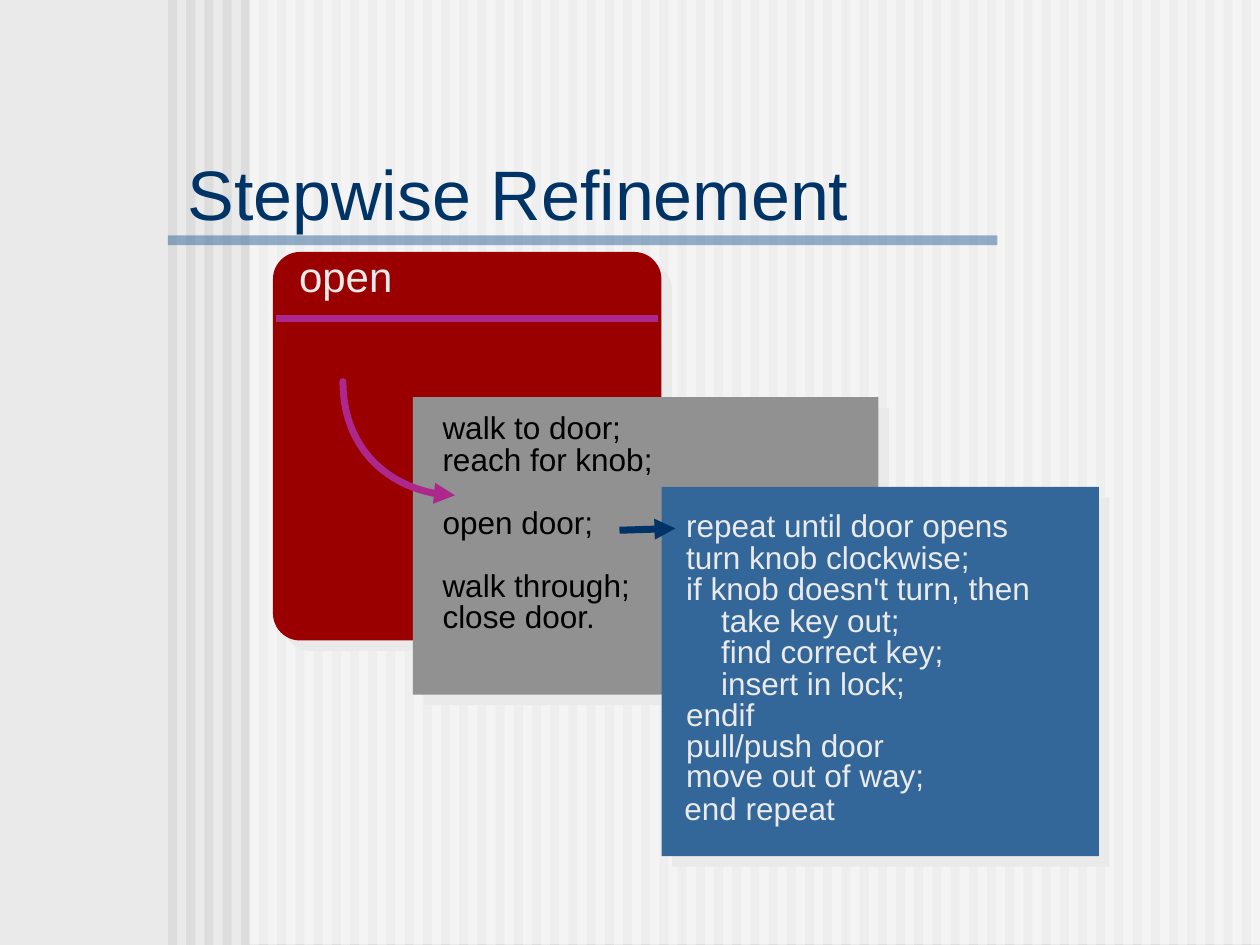
from dataclasses import dataclass

from lxml import etree
from pptx import Presentation
from pptx import util as u
from pptx.dml.color import RGBColor
from pptx.enum import shapes, text
from pptx.oxml import ns

Pt = u.Pt


@dataclass(frozen=True)
class Theme:
    font: str = "Arial"
    paper: str = "EAEAEA"
    stripe: str = "DDDDDD"
    veil: str = "FFFFFF"
    navy: str = "003366"
    blue: str = "336699"
    red: str = "9A0000"
    grey: str = "919191"
    purple: str = "AD278D"
    black: str = "000000"
    title: int = 40
    heading: int = 24
    body: int = 18
    line: int = 4


def sub(parent, tag, **attrs):
    return etree.SubElement(parent, ns.qn(tag), {k: str(v) for k, v in attrs.items()})


def write(p, content, font, size, color, spacing=None, indent=0):
    p.line_spacing = spacing
    if indent:
        pPr = p._p.get_or_add_pPr()
        pPr.set("marL", str(Pt(indent)))
        pPr.set("indent", "0")
    r = p.add_run()
    r.text = content
    r.font.name, r.font.size = font, Pt(size)
    r.font.color.rgb = RGBColor.from_string(color)


class Deck:
    def __init__(self, theme, width, height):
        self.theme = theme
        self.prs = Presentation()
        self.prs.slide_width, self.prs.slide_height = Pt(width), Pt(height)
        self.s = self.prs.slides.add_slide(self.prs.slide_layouts[6])
        fill = self.s.background.fill
        fill.solid()
        fill.fore_color.rgb = RGBColor.from_string(theme.paper)

    def box(self, x, y, w, h, color, alpha=None, radius=None, shadow=False):
        kind = shapes.MSO_SHAPE.RECTANGLE if radius is None else shapes.MSO_SHAPE.ROUNDED_RECTANGLE
        sp = self.s.shapes.add_shape(kind, Pt(x), Pt(y), Pt(w), Pt(h))
        if radius is not None:
            sp.adjustments[0] = radius
        sp.fill.solid()
        sp.fill.fore_color.rgb = RGBColor.from_string(color)
        sp.line.fill.background()
        sp.shadow.inherit = False
        spPr = sp._element.spPr
        if alpha is not None:
            sub(spPr.find(ns.qn("a:solidFill"))[0], "a:alpha", val=alpha * 1000)
        if shadow:
            drop = sub(spPr.find(ns.qn("a:effectLst")), "a:outerShdw", blurRad=0,
                       dist=Pt(8.5), dir=45 * 60000, algn="tl", rotWithShape=0)
            sub(drop, "a:srgbClr", val=self.theme.paper)

    def label(self, x, y, w, h, lines, size, color, inset=(7.2, 3.6), bottom=False, **fmt):
        tf = self.s.shapes.add_textbox(Pt(x), Pt(y), Pt(w), Pt(h)).text_frame
        tf.word_wrap = True
        tf.margin_left = tf.margin_right = Pt(inset[0])
        tf.margin_top = tf.margin_bottom = Pt(inset[1])
        tf.vertical_anchor = text.MSO_ANCHOR.BOTTOM if bottom else text.MSO_ANCHOR.TOP
        for i, content in enumerate(lines):
            p = tf.add_paragraph() if i else tf.paragraphs[0]
            write(p, content, self.theme.font, size, color, **fmt)

    def steps(self, x, y, width, rows, color):
        for row, indent, content in rows:
            self.label(x, y + 18 * row, width, 28.8, [content], self.theme.body, color, indent=indent)

    def stroke(self, sp, color, arrow):
        sp.line.color.rgb = RGBColor.from_string(color)
        sp.line.width = Pt(self.theme.line)
        ln = sp._element.spPr.find(ns.qn("a:ln"))
        if arrow:
            sub(ln, "a:tailEnd", type="triangle")
        return ln

    def line(self, x1, y1, x2, y2, color, arrow=False):
        sp = self.s.shapes.add_connector(shapes.MSO_CONNECTOR.STRAIGHT, Pt(x1), Pt(y1), Pt(x2), Pt(y2))
        self.stroke(sp, color, arrow)
        sub(sp._element.spPr, "a:effectLst")

    def curve(self, start, controls, end, color):
        fb = self.s.shapes.build_freeform(Pt(start[0]), Pt(start[1]))
        fb.add_line_segments([(Pt(end[0]), Pt(end[1]))], close=False)
        sp = fb.convert_to_shape()
        sp.fill.background()
        sp.shadow.inherit = False
        self.stroke(sp, color, True).set("cap", "rnd")
        segment = sp._element.find(".//" + ns.qn("a:lnTo"))
        outline = segment.getparent()
        outline.remove(segment)
        bezier = sub(outline, "a:cubicBezTo")
        for x, y in (*controls, end):
            sub(bezier, "a:pt", x=Pt(x - start[0]), y=Pt(y - start[1]))


t = Theme()
d = Deck(t, 720, 540)

for i in range(60):
    d.box(96 + 10.4 * i, 0, 5.2, 540, t.stripe)
d.box(142.5, 0, 577.5, 539.5, t.veil, alpha=50)
d.box(96, 134.5, 474, 5.6, t.blue, alpha=50)
d.label(102, 84.5, 400, 52, ["Stepwise Refinement"], t.title, t.navy, inset=(5.2, 2.5), bottom=True)

d.box(156, 144, 222, 222, t.red, radius=0.07, shadow=True)
d.line(158, 182, 376, 182, t.purple)
d.label(163.8, 139.5, 80, 36, ["open"], t.heading, t.paper)

d.box(236, 227, 266, 170, t.grey, shadow=True)
d.steps(245.8, 229.7, 140, [
    (0, 0, "walk to door;"),
    (1, 0, "reach for knob;"),
    (3, 0, "open door;"),
    (5, 0, "walk through;"),
    (6, 0, "close door."),
], t.black)

d.box(378, 278.2, 250, 211, t.blue, shadow=True)
d.steps(385, 285.7, 220, [
    (0, 0, "repeat until door opens"),
    (1, 0, "turn knob clockwise;"),
    (2, 0, "if knob doesn't turn, then"),
    (3, 20, "take key out;"),
    (4, 20, "find correct key;"),
    (5, 20, "insert in lock;"),
    (6, 0, "endif"),
], t.paper)
d.label(385, 415.5, 220, 42, ["pull/push door", "move out of way;"], t.body, t.paper, spacing=0.8)
d.label(384, 447.5, 220, 28.8, ["end repeat"], t.body, t.paper)

d.line(354, 303, 386, 302, t.navy, arrow=True)
d.curve((196, 218), [(196, 254), (225, 283)], (260, 283), t.purple)

d.prs.save("out.pptx")
